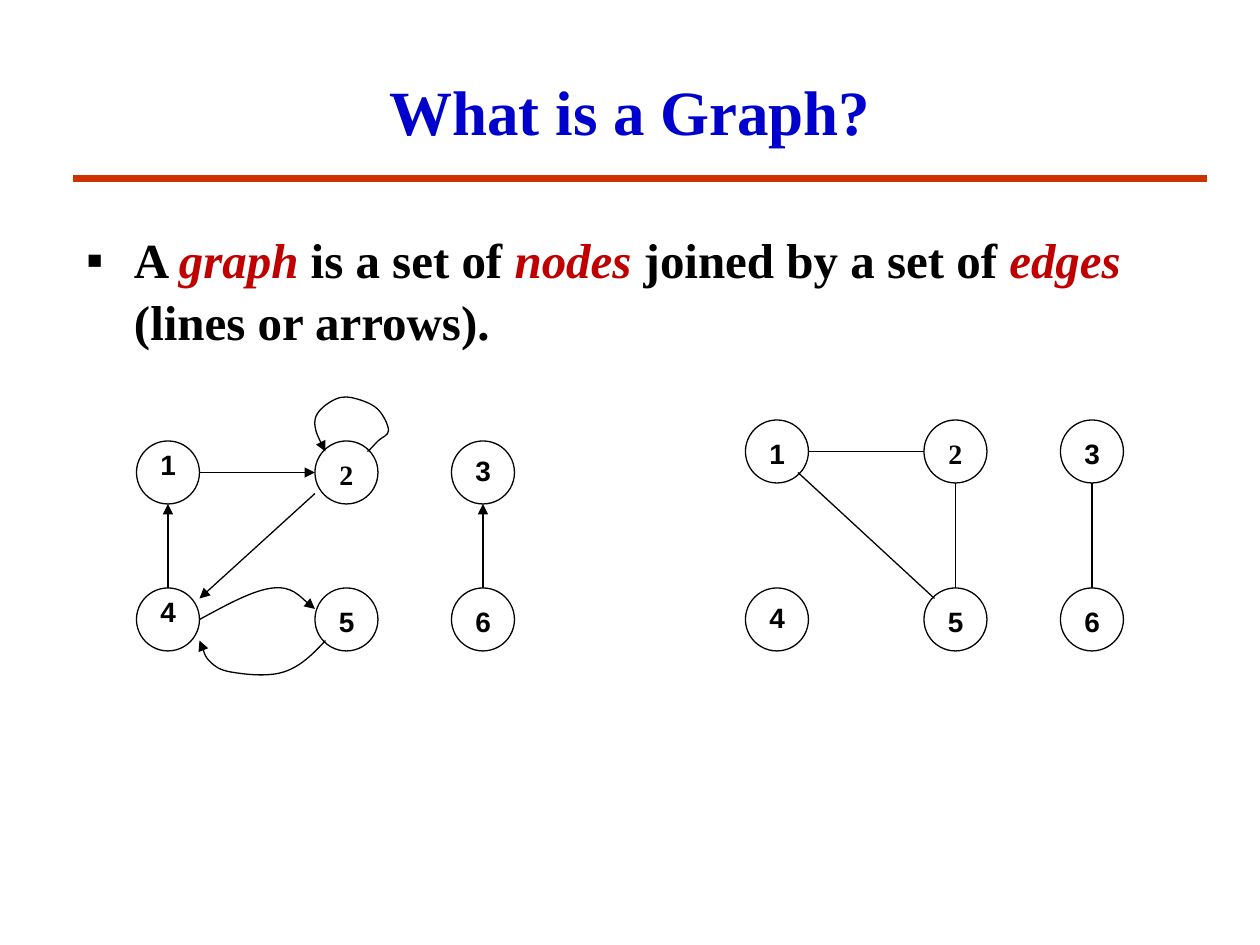
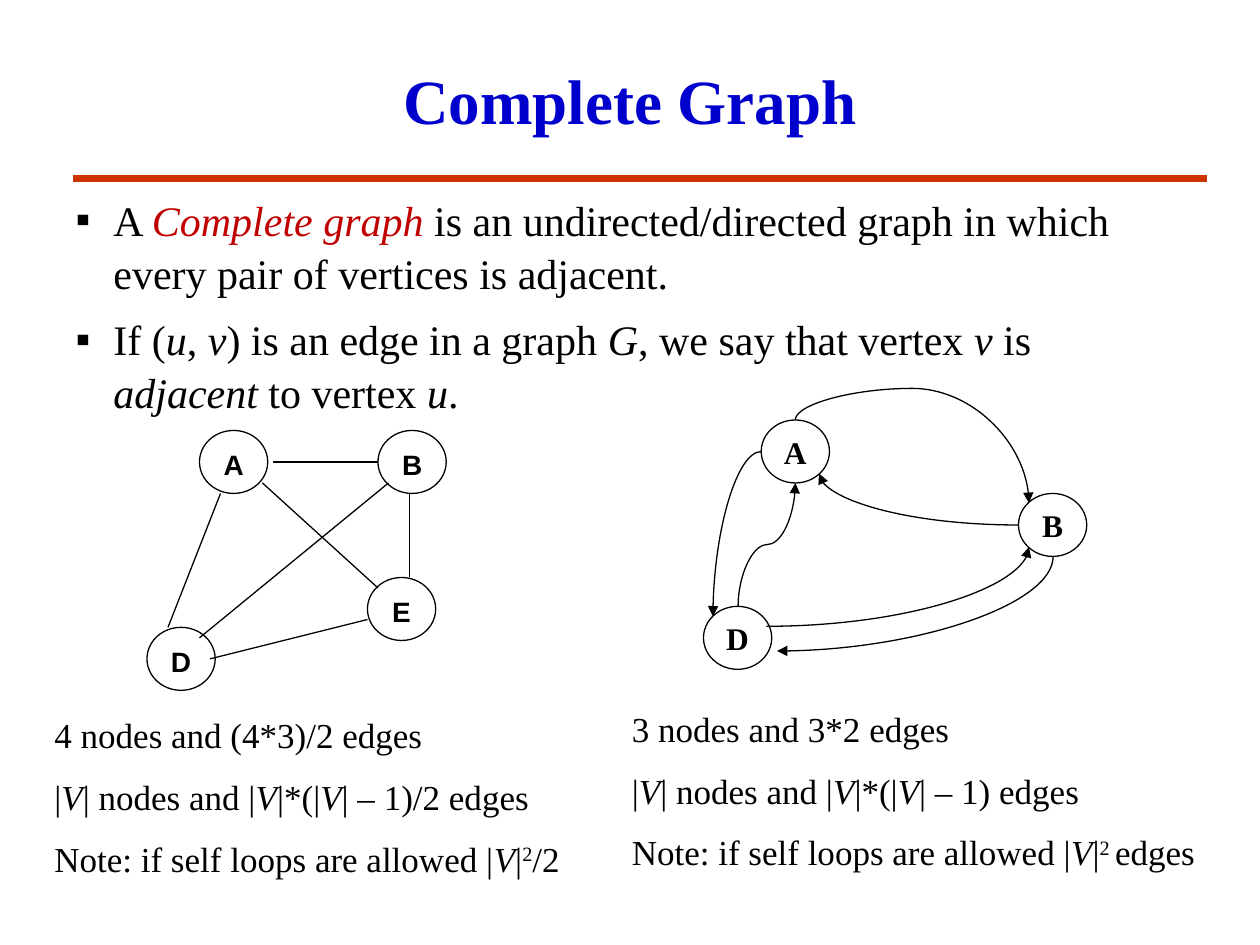
"""Build two slides that introduce graphs and complete graphs."""
import dataclasses
import math

import lxml.etree
import pptx
import pptx.dml.color
import pptx.enum.shapes
import pptx.enum.text
import pptx.oxml.ns
import pptx.util


@dataclasses.dataclass(frozen=True)
class Theme:
    ink: pptx.dml.color.RGBColor = pptx.dml.color.RGBColor(0x00, 0x00, 0x00)
    title: pptx.dml.color.RGBColor = pptx.dml.color.RGBColor(0x00, 0x00, 0xCC)
    accent: pptx.dml.color.RGBColor = pptx.dml.color.RGBColor(0xC0, 0x00, 0x00)
    rule: pptx.dml.color.RGBColor = pptx.dml.color.RGBColor(0xCC, 0x33, 0x00)
    serif: str = "Times New Roman"
    sans: str = "Arial"
    title_size: int = 36
    lead_size: int = 28
    list_size: int = 24
    note_size: int = 20
    inner_label_size: int = 18
    label_size: int = 16
    edge_width: float = 0.75
    rule_width: float = 4.5
    line_spacing: float = 1.05


theme = Theme()
qn = pptx.oxml.ns.qn
CELLS_PER_INCH = 12
NODE_HEIGHT = 6
LABEL_INSET = 1.1


def cells(*values):
    """Turn grid cells into slide lengths."""
    return [pptx.util.Emu(round(value * pptx.util.Inches(1) / CELLS_PER_INCH)) for value in values]


def style_line(shape, color=theme.ink, width=theme.edge_width, arrow=None):
    """Set a line's colour and width, drop its shadow and add an arrowhead."""
    shape.line.color.rgb = color
    shape.line.width = pptx.util.Pt(width)
    properties = shape._element.spPr
    if properties.find(qn("a:effectLst")) is None:
        lxml.etree.SubElement(properties, qn("a:effectLst"))
    if arrow:
        lxml.etree.SubElement(properties.find(qn("a:ln")), qn("a:" + arrow), type="triangle")


presentation = pptx.Presentation()
presentation.slide_width, presentation.slide_height = cells(120, 90)
content_layout = presentation.slide_layouts[1]
intro = presentation.slides.add_slide(content_layout)
complete = presentation.slides.add_slide(content_layout)
connector_type = pptx.enum.shapes.MSO_CONNECTOR
center = pptx.enum.text.PP_ALIGN.CENTER
middle = pptx.enum.text.MSO_ANCHOR.MIDDLE
top = pptx.enum.text.MSO_ANCHOR.TOP

for slide, title, area in [
    (intro, "What is a Graph?", (9, 5, 102, 11)),
    (complete, "Complete Graph", (9, 3, 102, 13)),
]:
    rule = slide.shapes.add_connector(connector_type.STRAIGHT, *cells(7, 17, 115, 17))
    style_line(rule, theme.rule, theme.rule_width)
    heading = slide.shapes.title
    heading.left, heading.top, heading.width, heading.height = cells(*area)
    heading.text_frame.text = title
    heading.text_frame.auto_size = pptx.enum.text.MSO_AUTO_SIZE.NONE
    heading.text_frame.vertical_anchor = middle
    paragraph = heading.text_frame.paragraphs[0]
    paragraph.alignment = center
    paragraph.font.name = theme.serif
    paragraph.font.size = pptx.util.Pt(theme.title_size)
    paragraph.font.bold = True
    paragraph.font.color.rgb = theme.title

# Runs are parted by ¦; a leading _ is italic, ~ is accented italic, ^ is superscript.
text_blocks = [
    (intro.placeholders[1], (7, 21, 104, 59), top, theme.lead_size, True, 0.38, 0, [
        "A ¦~graph¦ is a set of ¦~nodes¦ joined by a set of ¦~edges¦ (lines or arrows).",
    ]),
    (complete.placeholders[1], (6, 18, 108, 22), middle, theme.list_size, False, 0.3, 8, [
        "A ¦~Complete graph ¦is an undirected/directed graph in which every pair of vertices is adjacent.",
        "If (¦_u¦, ¦_v¦) is an edge in a graph ¦_G¦, we say that vertex ¦_v¦ is ¦_adjacent¦ to vertex ¦_u¦.",
    ]),
    (None, (4, 67.2, 55, 17.4), top, theme.note_size, False, 0, 10, [
        "4 nodes and (4*3)/2 edges",
        "|¦_V¦| nodes and |¦_V¦|*(|¦_V¦| – 1)/2 edges",
        "Note: if self loops are allowed |¦_V¦|¦^2¦/2",
    ]),
    (None, (59, 66.6, 59, 17.4), top, theme.note_size, False, 0, 10, [
        "3 nodes and 3*2 edges",
        "|¦_V¦| nodes and |¦_V¦|*(|¦_V¦| – 1) edges",
        "Note: if self loops are allowed |¦_V¦|¦^2 ¦edges",
    ]),
]
for placeholder, area, anchor, size, bold, indent, gap, lines in text_blocks:
    shape = placeholder or complete.shapes.add_textbox(*cells(*area))
    shape.left, shape.top, shape.width, shape.height = cells(*area)
    frame = shape.text_frame
    frame.word_wrap = True
    frame.auto_size = pptx.enum.text.MSO_AUTO_SIZE.NONE
    frame.vertical_anchor = anchor
    for index, line in enumerate(lines):
        paragraph = frame.add_paragraph() if index else frame.paragraphs[0]
        paragraph.line_spacing = theme.line_spacing
        paragraph.space_before = pptx.util.Pt(gap if index else 0)
        if indent:
            properties = paragraph._p.get_or_add_pPr()
            properties.set("marL", str(pptx.util.Inches(indent)))
            properties.set("indent", str(-pptx.util.Inches(indent)))
            lxml.etree.SubElement(properties, qn("a:buFont"), typeface=theme.sans)
            lxml.etree.SubElement(properties, qn("a:buChar"), char="▪")
        paragraph.font.name = theme.serif
        paragraph.font.size = pptx.util.Pt(size)
        paragraph.font.bold = bold
        paragraph.font.color.rgb = theme.ink
        for piece in line.split("¦"):
            run = paragraph.add_run()
            run.text = piece.lstrip("_~^")
            if piece[0] in "_~":
                run.font.italic = True
            if piece[0] == "~":
                run.font.color.rgb = theme.accent
            if piece[0] == "^":
                run.font._element.set("baseline", "30000")

# Each node is label, left, top, label drop and label font; no drop puts the label inside.
node_groups = [
    (intro, 6, [
        ("1", 13, 42, 0, theme.sans), ("2", 30, 42, 1, theme.serif), ("3", 43, 42, 0.6, theme.sans),
        ("4", 13, 56, 0, theme.sans), ("5", 30, 56, 1, theme.sans), ("6", 43, 56, 1, theme.sans),
        ("1", 71, 40, 1, theme.sans), ("2", 88, 40, 1, theme.serif), ("3", 101, 40, 1, theme.sans),
        ("4", 71, 56, 0.6, theme.sans), ("5", 88, 56, 1, theme.sans), ("6", 101, 56, 1, theme.sans),
    ]),
    (complete, 6.5, [
        ("A", 19, 41, 1, theme.sans), ("B", 36, 41, 1, theme.sans),
        ("D", 14, 59.75, 1, theme.sans), ("E", 35, 55, 1, theme.sans),
        ("A", 72.5, 40, None, theme.serif), ("B", 97, 47, None, theme.serif),
        ("D", 67, 57.75, None, theme.serif),
    ]),
]
for slide, width, nodes in node_groups:
    for label, left, node_top, drop, font in nodes:
        node = slide.shapes.add_shape(
            pptx.enum.shapes.MSO_SHAPE.OVAL, *cells(left, node_top, width, NODE_HEIGHT))
        node.shadow.inherit = False
        node.fill.background()
        style_line(node)
        holder = node
        if drop is not None:
            holder = slide.shapes.add_textbox(
                *cells(left + LABEL_INSET, node_top + drop, width - 2 * LABEL_INSET, 4.4))
        frame = holder.text_frame
        frame.word_wrap = False
        frame.vertical_anchor = middle if drop is None else top
        paragraph = frame.paragraphs[0]
        paragraph.alignment = center
        paragraph.font.name = font
        paragraph.font.size = pptx.util.Pt(theme.inner_label_size if drop is None else theme.label_size)
        paragraph.font.bold = True
        paragraph.font.color.rgb = theme.ink
        paragraph.add_run().text = label

edge_groups = [
    (intro, "tailEnd", [
        (16, 56, 16, 48), (19, 45, 30, 45), (30, 47, 19, 57), (46, 56, 46, 48),
    ]),
    (intro, None, [
        (76, 45, 89, 57), (77, 43, 88, 43), (91, 56, 91, 46), (104, 56, 104, 46),
    ]),
    (complete, None, [
        (25, 46, 36, 56), (26, 44, 36, 44), (39, 55, 39, 47),
        (20, 62.75, 35, 59), (16, 59.75, 21, 47), (19, 60.75, 37, 46),
    ]),
]
for slide, arrow, edges in edge_groups:
    for edge in edges:
        connector = slide.shapes.add_connector(connector_type.STRAIGHT, *cells(*edge))
        style_line(connector, arrow=arrow)

bent_edges = [
    ((75.75, 40), (98, 47.9), 270, "curvedConnector3", -38100, "tailEnd"),
    ((97, 50), (78, 45.1), 180, "curvedConnector2", None, "tailEnd"),
    ((72.5, 43), (67.9, 58.7), 180, "curvedConnector2", None, "tailEnd"),
    ((70.3, 57.75), (75.75, 46), 90, "curvedConnector3", 50000, "tailEnd"),
    ((100.3, 53), (74, 62), 90, "curvedConnector2", None, "tailEnd"),
    ((98, 52.1), (73, 59.65), 90, "curvedConnector2", None, "headEnd"),
]
for start, end, turn, preset, bend, arrow in bent_edges:
    middle_x, middle_y = (start[0] + end[0]) / 2, (start[1] + end[1]) / 2
    reach_x, reach_y = start[0] - middle_x, start[1] - middle_y
    cosine, sine = math.cos(math.radians(turn)), math.sin(math.radians(turn))
    offset_x = reach_x * cosine + reach_y * sine
    offset_y = reach_y * cosine - reach_x * sine
    connector = complete.shapes.add_connector(connector_type.CURVE, *cells(
        middle_x + offset_x, middle_y + offset_y, middle_x - offset_x, middle_y - offset_y))
    properties = connector._element.spPr
    properties.find(qn("a:xfrm")).set("rot", str(turn * 60000))
    geometry = properties.find(qn("a:prstGeom"))
    geometry.set("prst", preset)
    if bend is not None:
        adjustments = geometry.find(qn("a:avLst"))
        if adjustments is None:
            adjustments = lxml.etree.SubElement(geometry, qn("a:avLst"))
        lxml.etree.SubElement(adjustments, qn("a:gd"), name="adj1", fmla=f"val {bend}")
    style_line(connector, arrow=arrow)

self_loop = [
    (31, 43), (30.4, 41.9), (29.9, 40.8), (30, 40), (30.1, 39.1), (31.3, 38.3), (32, 38),
    (32.7, 37.7), (33.3, 37.8), (34, 38), (34.7, 38.2), (35.5, 38.5), (36, 39),
    (36.5, 39.5), (37, 40.5), (37, 41), (37, 41.5), (36.4, 41.6), (36, 42),
    (35.6, 42.4), (35.2, 42.9), (35, 43),
]
four_to_five = [
    (19, 59), (21.6, 57.6), (24.1, 56.2), (26, 56), (27.8, 55.8), (29.3, 57.5), (30, 58),
]
five_to_four = [
    (31, 61), (29.8, 62.3), (28.6, 63.5), (27, 64), (25.4, 64.5), (23.2, 64.2), (22, 64),
    (20.9, 63.8), (20.5, 63.5), (20, 63), (19.5, 62.5), (19.2, 61.4), (19, 61),
]
for points, arrow in [(self_loop, "headEnd"), (four_to_five, "tailEnd"), (five_to_four, "tailEnd")]:
    builder = intro.shapes.build_freeform(*cells(*points[0]))
    builder.add_line_segments([cells(*point) for point in points[1:]], close=False)
    curve = builder.convert_to_shape()
    outline = next(curve._element.iter(qn("a:path")))
    segments = outline.findall(qn("a:lnTo"))
    for first in range(0, len(segments), 3):
        bezier = lxml.etree.SubElement(outline, qn("a:cubicBezTo"))
        for segment in segments[first:first + 3]:
            bezier.append(segment[0])
            outline.remove(segment)
    curve.shadow.inherit = False
    curve.fill.background()
    style_line(curve, arrow=arrow)

presentation.save("out.pptx")
